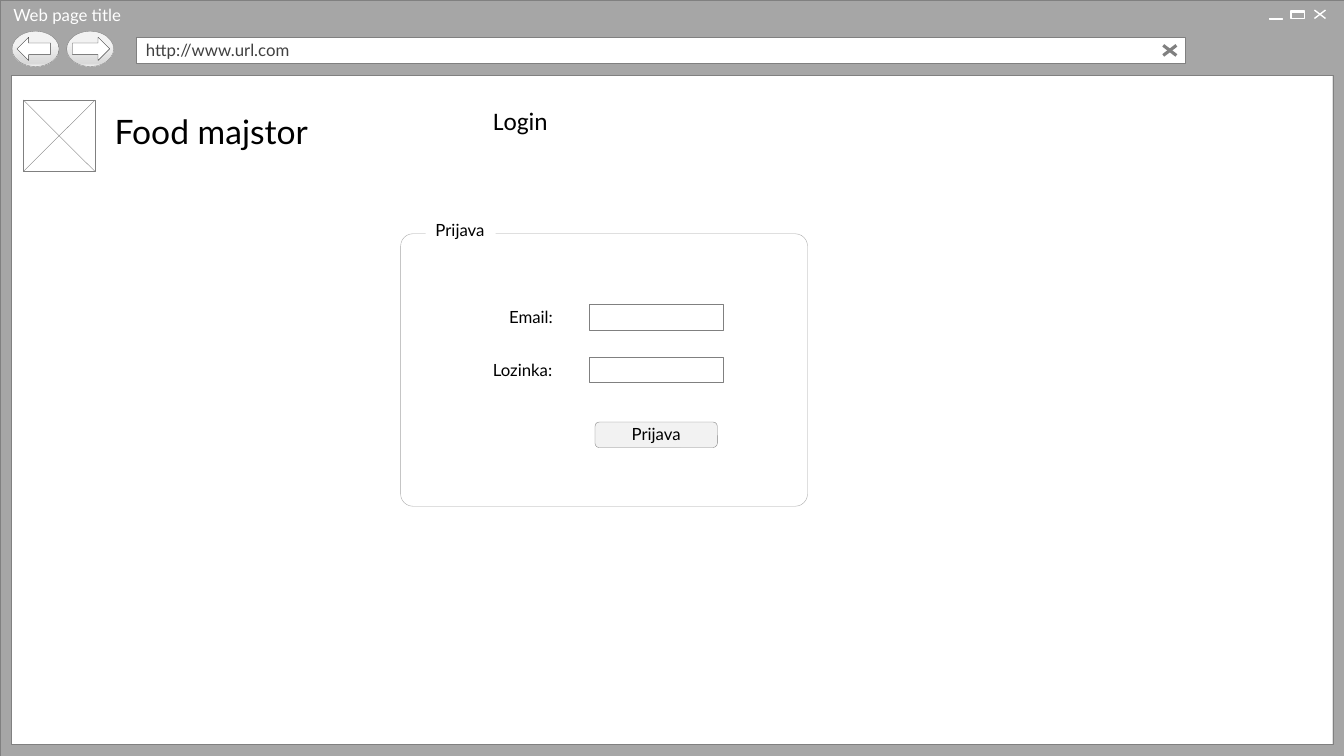
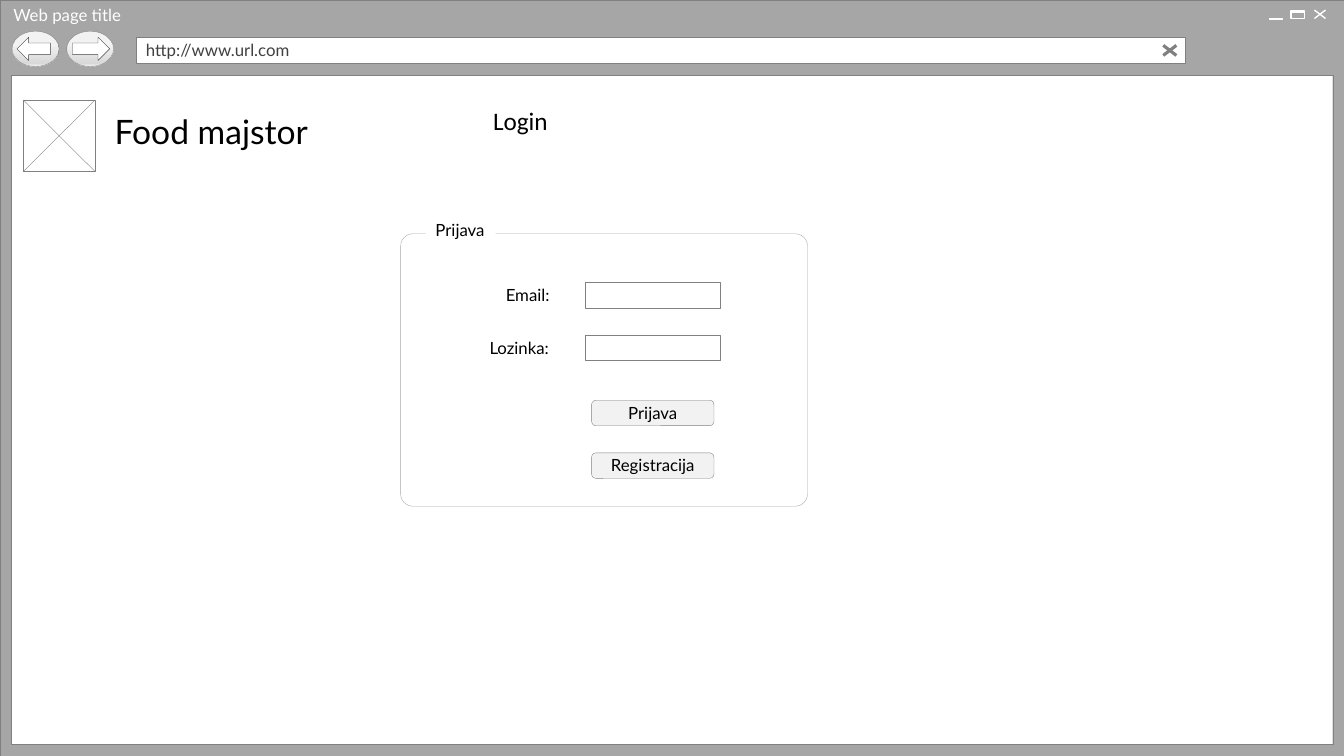
from copy import deepcopy
from typing import NamedTuple, Optional

from pptx import Presentation
from pptx.dml.color import RGBColor
from pptx.enum.shapes import MSO_CONNECTOR, MSO_SHAPE
from pptx.enum.text import MSO_ANCHOR, MSO_AUTO_SIZE, PP_ALIGN
from pptx.oxml.ns import qn
from pptx.shapes.autoshape import Shape
from pptx.slide import Slide
from pptx.util import Pt
from lxml import etree

RECT, ROUND, OVAL = MSO_SHAPE.RECTANGLE, MSO_SHAPE.ROUNDED_RECTANGLE, MSO_SHAPE.OVAL
BACK, NEXT = MSO_SHAPE.LEFT_ARROW, MSO_SHAPE.RIGHT_ARROW
STRAIGHT = MSO_CONNECTOR.STRAIGHT
TOP, MIDDLE = MSO_ANCHOR.TOP, MSO_ANCHOR.MIDDLE
LEFT, CENTER = PP_ALIGN.LEFT, PP_ALIGN.CENTER
GROW = MSO_AUTO_SIZE.SHAPE_TO_FIT_TEXT

WHITE = RGBColor(0xFF, 0xFF, 0xFF)
BLACK = RGBColor(0, 0, 0)
DARK = RGBColor(0x40, 0x40, 0x40)
GREY = RGBColor(0x80, 0x80, 0x80)
BAR = RGBColor(0x91, 0x91, 0x91)
FRAME = RGBColor(0xA6, 0xA6, 0xA6)
SHADE = RGBColor(0xD9, 0xD9, 0xD9)
PALE = RGBColor(0xF2, 0xF2, 0xF2)

WIDE, HIGH = 960, 540
THIN = 0.25
STOPS = ((0.36, PALE), (0.91, SHADE), (1, PALE))
ROOMY = (7.2, 3.6, 7.2, 3.6)
SNUG = (7.2, 1.44, 7.2, 2.16)
TIGHT = (7.2, 0, 7.2, 0.72)
SLIM = (7.2, 3.6, 3.6, 3.6)


class Box(NamedTuple):
    x: float
    y: float
    w: float
    h: float


class Style(NamedTuple):
    size: float = 12
    color: RGBColor = BLACK
    font: str = "Lato"
    inset: tuple[float, ...] = SNUG
    anchor: MSO_ANCHOR = MIDDLE
    align: PP_ALIGN = LEFT
    wrap: bool = True
    grow: bool = False


class Form(NamedTuple):
    x: float
    y: float
    buttons: tuple[str, ...]


LABEL = Style(wrap=False, grow=True)
LEGEND = Style(inset=SLIM, anchor=TOP, wrap=False)
CAPTION = LABEL._replace(color=WHITE)
ADDRESS = Style(color=DARK, inset=ROOMY)
BRAND = Style(size=24, grow=True)
HEADING = Style(size=18, font="Calibri", inset=ROOMY, anchor=TOP, grow=True)
BUTTON = Style(inset=TIGHT, align=CENTER)

# Label text and width of each field
FIELDS = (("Email:", 46), ("Lozinka:", 57.6))
STEP = 37.6
FORMS = (
    Form(420.6, 217.2, ("Prijava",)),
    Form(418.2, 201.6, ("Prijava", "Registracija")),
)


def write(shape: Shape, text: str, style: Style) -> None:
    frame = shape.text_frame
    frame.word_wrap = style.wrap
    frame.vertical_anchor = style.anchor
    if style.grow:
        frame.auto_size = GROW
    (frame.margin_left, frame.margin_top,
     frame.margin_right, frame.margin_bottom) = map(Pt, style.inset)
    para = frame.paragraphs[0]
    para.text = text
    para.alignment = style.align
    para.font.size = Pt(style.size)
    para.font.name = style.font
    para.font.color.rgb = style.color


def label(slide: Slide, box: Box, text: str, style: Style) -> None:
    write(slide.shapes.add_textbox(*map(Pt, box)), text, style)


def draw(slide: Slide, kind: MSO_SHAPE, box: Box,
         fill: Optional[RGBColor] = WHITE, line: Optional[RGBColor] = GREY,
         weight: float = THIN) -> Shape:
    shape = slide.shapes.add_shape(kind, *map(Pt, box))
    shape.shadow.inherit = False
    if fill is None:
        shape.fill.background()
    else:
        shape.fill.solid()
        shape.fill.fore_color.rgb = fill
    if line is None:
        shape.line.fill.background()
    else:
        shape.line.color.rgb = line
        shape.line.width = Pt(weight)
    return shape


def blend(shape: Shape) -> None:
    """Fill a shape with the three-stop gradient, running downwards."""
    fill = shape.fill
    fill.gradient()
    fill.gradient_angle = 270
    first = next(shape._element.spPr.iter(qn("a:gs")))
    first.getparent().append(deepcopy(first))
    for stop, (place, color) in zip(fill.gradient_stops, STOPS):
        stop.position = place
        stop.color.rgb = color


def cross(slide: Slide, box: Box, color: RGBColor, weight: float) -> None:
    """Draw both diagonals of a box."""
    low, high = box.y, box.y + box.h
    for start, end in ((low, high), (high, low)):
        line = slide.shapes.add_connector(
            STRAIGHT, Pt(box.x), Pt(start), Pt(box.x + box.w), Pt(end))
        line.line.color.rgb = color
        line.line.width = Pt(weight)
        etree.SubElement(line._element.spPr, qn("a:effectLst"))


def browser(slide: Slide) -> None:
    # Window and title
    draw(slide, RECT, Box(0, 0, WIDE, HIGH), FRAME)
    label(slide, Box(2.4, 2, 123, 18), "Web page title", CAPTION)

    # Back and forward buttons
    for x, kind, inset, wide in ((8.6, BACK, 3.6, 23.8), (47.6, NEXT, 4.2, 26.6)):
        blend(draw(slide, OVAL, Box(x, 22.3, 33.6, 25.2)))
        draw(slide, kind, Box(x + inset, 26.6, wide, 16.6), line=DARK)

    # Window controls
    cross(slide, Box(938.9, 7.2, 7.9, 6), WHITE, 1)
    for x, y in ((922.3, 7.9), (906.5, 13)):
        draw(slide, RECT, Box(x, y, 9.4, 0.8), BAR, WHITE)
    draw(slide, RECT, Box(922.3, 7.9, 9.4, 5.5), None, WHITE, 1)

    # Page and address bar
    draw(slide, RECT, Box(8, 54, 944, 477.5))
    address = draw(slide, RECT, Box(97.2, 26.6, 749.6, 18.4))
    write(address, "http://www.url.com", ADDRESS)
    cross(slide, Box(830.9, 32.4, 9.4, 7.2), GREY, 2.25)


def header(slide: Slide) -> None:
    logo = Box(16.6, 71.4, 51.4, 51.2)
    draw(slide, RECT, logo)
    cross(slide, logo, GREY, THIN)
    label(slide, Box(74.8, 77.5, 202.3, 32.4), "Food majstor", BRAND)
    label(slide, Box(345.1, 71.4, 442, 29), "Login", HEADING)


def login(slide: Slide, form: Form) -> None:
    # Panel with legend, wide enough for one line
    panel = draw(slide, ROUND, Box(286.2, 167, 290.6, 194.6), line=FRAME)
    panel.adjustments[0] = 0.045
    legend = draw(slide, RECT, Box(304, 153.4, 50, 21.6), line=None)
    write(legend, "Prijava", LEGEND)

    # Labels end at a shared right edge
    for row, (text, wide) in enumerate(FIELDS):
        y = form.y + row * STEP
        draw(slide, RECT, Box(form.x, y, 96, 18.4))
        label(slide, Box(form.x - 18 - wide, y + 0.4, wide, 18), text, LABEL)

    # Buttons
    for row, text in enumerate(form.buttons):
        box = Box(form.x + 4.4, form.y + 84.3 + row * STEP, 87.4, 18.2)
        write(draw(slide, ROUND, box, PALE), text, BUTTON)


def main() -> None:
    deck = Presentation()
    deck.slide_width, deck.slide_height = Pt(WIDE), Pt(HIGH)
    for form in FORMS:
        slide = deck.slides.add_slide(deck.slide_layouts[6])
        browser(slide)
        header(slide)
        login(slide, form)
    deck.save("out.pptx")


if __name__ == "__main__":
    main()
